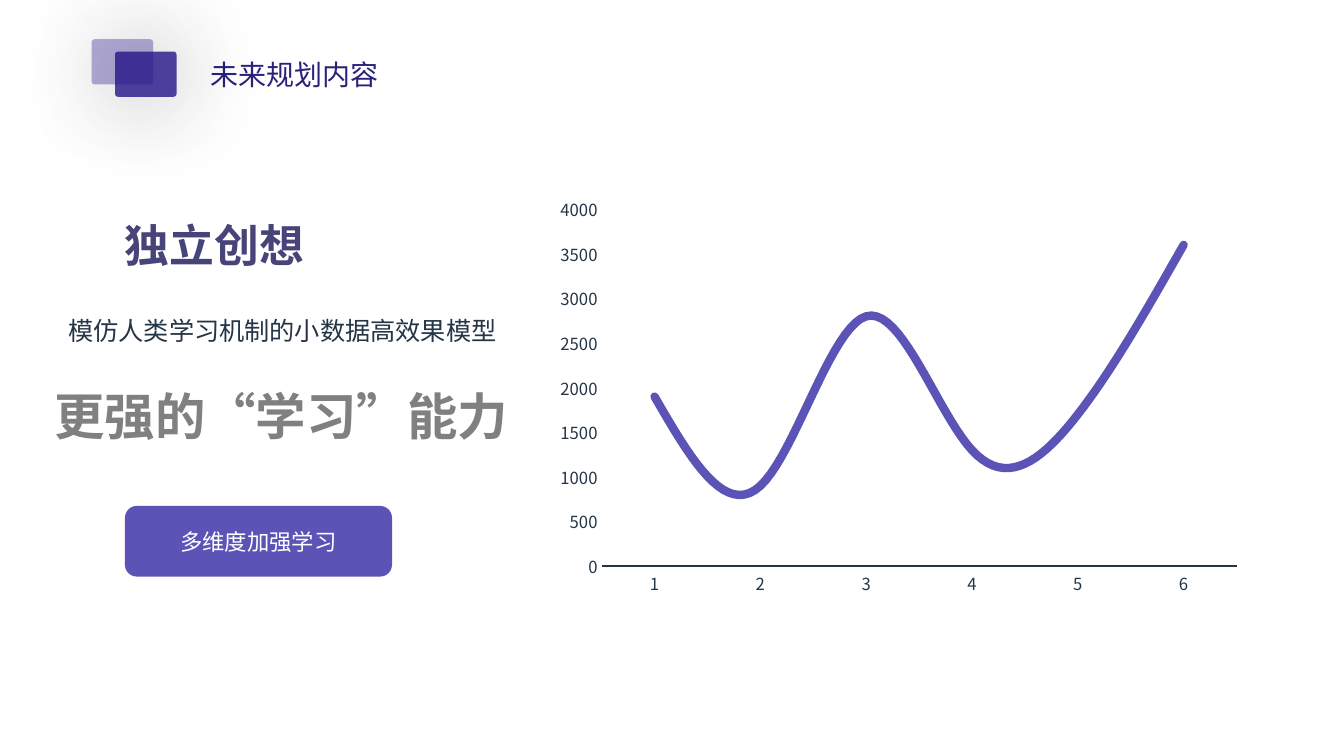
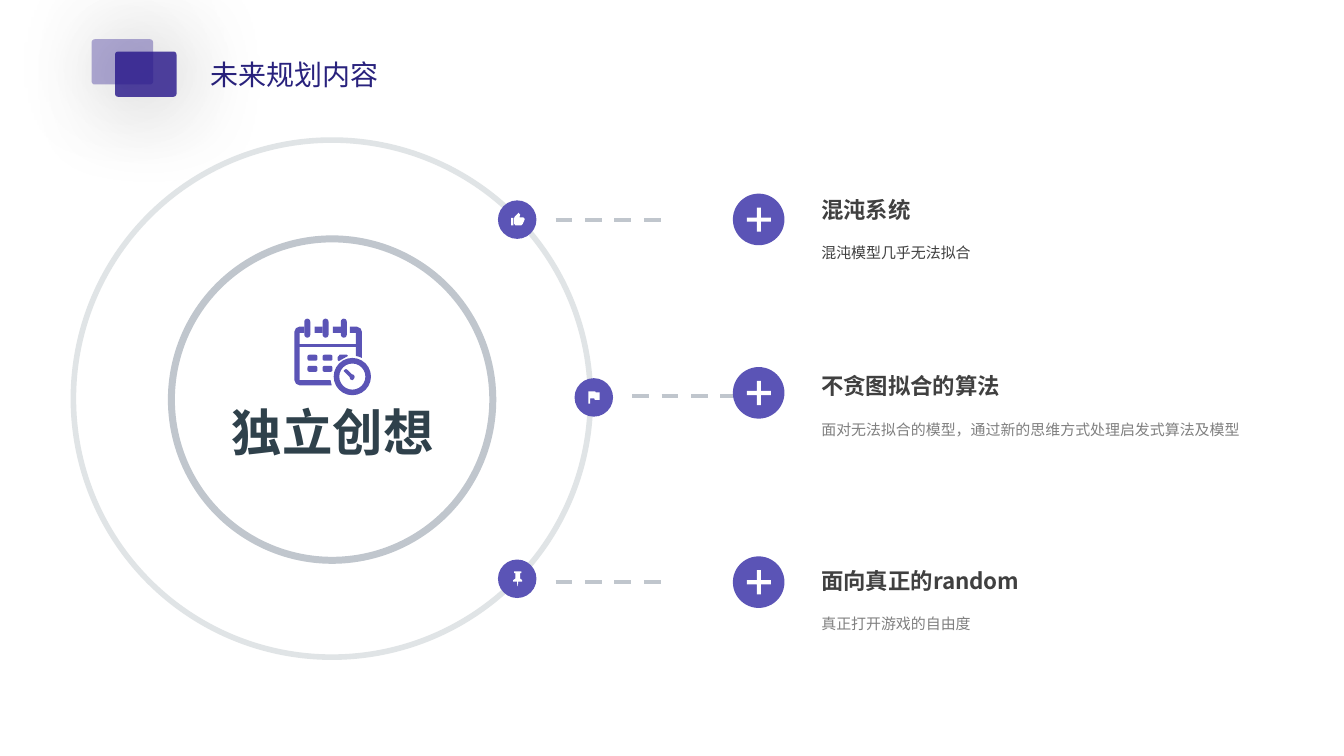
from lxml.etree import SubElement
from pptx import Presentation
from pptx.chart.data import CategoryChartData
from pptx.dml.color import RGBColor
from pptx.enum.chart import XL_CHART_TYPE as ChartType, XL_TICK_MARK as Tick
from pptx.enum.dml import MSO_LINE as Dash
from pptx.enum.shapes import MSO_CONNECTOR as Connector, MSO_SHAPE as Preset
from pptx.enum.text import MSO_ANCHOR as Anchor, MSO_AUTO_SIZE as AutoSize, PP_ALIGN as Align
from pptx.oxml.ns import qn
from pptx.util import Cm, Pt

INDIGO = RGBColor(0x26, 0x15, 0x8C)
TITLE_BLUE = RGBColor(0x29, 0x22, 0x7D)
VIOLET = RGBColor(0x5B, 0x54, 0xB6)
PLUM = RGBColor(0x47, 0x44, 0x79)
NAVY = RGBColor(0x24, 0x35, 0x47)
SLATE = RGBColor(0x2F, 0x41, 0x4B)
DARK = RGBColor(0x40, 0x40, 0x40)
GREY = RGBColor(0x80, 0x80, 0x80)
SILVER = RGBColor(0xC0, 0xC6, 0xCD)
PALE = RGBColor(0xE0, 0xE4, 0xE6)
WHITE = RGBColor(0xFF, 0xFF, 0xFF)

THUMB = [
    [(0, 32), (6, 32), (6, 13), (0, 13)],
    [(34, 15), (31, 12), (21, 12), (23, 5), (20, 2), (19, 0), (9, 10), (8, 13),
     (8, 28), (11, 32), (26, 32), (29, 29), (34, 18)],
]
FLAG = [[(18, 3), (17, 0), (0, 0), (0, 31), (4, 31), (4, 18), (15, 18), (16, 22),
         (28, 22), (28, 3)]]
PIN = [[(18, 18), (18, 4), (21, 4), (21, 0), (3, 0), (3, 4), (6, 4), (6, 18), (0, 22),
        (0, 26), (10, 26), (11, 37), (12, 37), (13, 26), (23, 26), (23, 22)]]
CALENDAR = [
    [(13, 20), (25, 20), (25, 36), (13, 36), (13, 64), (155, 64), (155, 36), (140, 36),
     (140, 20), (157, 20), (167, 25), (170, 33), (170, 99), (163, 96), (155, 94),
     (155, 71), (13, 71), (13, 155), (91, 155), (94, 168), (13, 168), (4, 164),
     (0, 155), (0, 33), (4, 24)],
    [(114, 91), (132, 91), (135, 94), (112, 107), (109, 104), (109, 97)],
    [(124, 132), (126, 129), (130, 127), (135, 130), (145, 140), (150, 142), (152, 147),
     (150, 152), (146, 155), (141, 153), (139, 147), (127, 135)],
]


def assign(target, values):
    """Set each attribute named in values on target."""
    for name, value in values.items():
        setattr(target, name, value)


def lengths(*values):
    """Turn centimetres into lengths."""
    return [Cm(value) for value in values]


class Page:
    """Holds the deck style and draws on the current slide."""

    FONT = "Noto Sans CJK SC"
    FRAME = {"word_wrap": True, "auto_size": AutoSize.NONE, "vertical_anchor": Anchor.MIDDLE}

    def __init__(self, deck):
        """Add a slide with the shared header."""
        self.slide = deck.slides.add_slide(deck.slide_layouts[5])
        self.shapes = self.slide.shapes
        self.tile(2.9, 1.3, 80)
        self.title("未来规划内容")
        self.tile(2.31, 0.99, 35)

    def title(self, text):
        """Place the slide title."""
        holder = self.shapes.title
        assign(holder, dict(zip(("left", "top", "width", "height"),
                                lengths(5.05, 1.3, 8, 1.12))))
        self.fill_text(holder, text, 20, TITLE_BLUE, align=Align.JUSTIFY)

    def tile(self, left, top, opacity):
        """Draw a translucent header tile with a wide soft shadow."""
        tile = self.shape(Preset.ROUNDED_RECTANGLE, (left, top, 1.55, 1.14), INDIGO, adjust=0.066)
        color = tile._element.spPr.find(qn("a:solidFill"))[0]
        SubElement(color, qn("a:alpha"), val=str(opacity * 1000))
        effects = tile._element.spPr.find(qn("a:effectLst"))
        shadow = SubElement(effects, qn("a:outerShdw"), blurRad=str(Pt(70)), dist=str(Pt(3)),
                            dir="2700000", algn="ctr", rotWithShape="0")
        black = SubElement(shadow, qn("a:srgbClr"), val="000000")
        SubElement(black, qn("a:alpha"), val="40000")

    def fill_text(self, box, text, size, color, bold=False, align=Align.LEFT, spacing=1.0,
                  **frame):
        """Fill a box with one styled paragraph."""
        assign(box.text_frame, {**self.FRAME, **frame})
        para = box.text_frame.paragraphs[0]
        assign(para, {"alignment": align, "line_spacing": spacing, "space_before": Pt(0)})
        span = para.add_run()
        span.text = text
        assign(span.font, {"size": Pt(size), "bold": bold, "name": self.FONT})
        span.font.color.rgb = color
        SubElement(span._r.get_or_add_rPr(), qn("a:ea"), typeface=self.FONT)

    def text(self, area, *args, **style):
        """Add a text box."""
        self.fill_text(self.shapes.add_textbox(*lengths(*area)), *args, **style)

    def shape(self, preset, area, fill, adjust=None):
        """Add a plain filled shape."""
        shape = self.shapes.add_shape(preset, *lengths(*area))
        if adjust is not None:
            shape.adjustments[0] = adjust
        return self.paint(shape, fill)

    def paint(self, shape, fill):
        """Give a shape a flat fill without line or shadow."""
        shape.shadow.inherit = False
        shape.fill.solid()
        shape.fill.fore_color.rgb = fill
        shape.line.fill.background()
        return shape

    def ring(self, left, top, size, color, width):
        """Draw an unfilled circle."""
        ring = self.shape(Preset.OVAL, (left, top, size, size), WHITE)
        ring.fill.background()
        ring.line.color.rgb = color
        ring.line.width = Pt(width)

    def outline(self, left, top, contours, fill):
        """Draw closed contours given in tenths of a millimetre."""
        builder = self.shapes.build_freeform(*contours[0][0], scale=Cm(0.01))
        for index, (start, *rest) in enumerate(contours):
            if index:
                builder.move_to(*start)
            builder.add_line_segments(rest, close=True)
        self.paint(builder.convert_to_shape(*lengths(left, top)), fill)

    def dashes(self, left, top, width):
        """Draw a horizontal dashed line."""
        line = self.shapes.add_connector(Connector.STRAIGHT, *lengths(left, top, left + width, top))
        assign(line.line, {"width": Pt(3), "dash_style": Dash.DASH})
        line.line.color.rgb = SILVER
        SubElement(line._element.spPr, qn("a:effectLst"))

    def plus(self, left, top):
        """Draw a round plus button."""
        self.shape(Preset.OVAL, (left, top, 1.3, 1.3), VIOLET)
        self.shape(Preset.CROSS, (left + 0.35, top + 0.35, 0.61, 0.61), WHITE, adjust=0.414)

    def calendar(self, left, top):
        """Draw the calendar and clock icon."""
        self.outline(left, top, CALENDAR, VIOLET)
        pins = [(0.25 + 0.46 * i, 0, 0.15, 0.48, 0.5) for i in range(3)]
        bars = [(0.51 + 0.46 * i, 0.2, 0.2, 0.16, 0) for i in range(2)]
        dots = [(0.33 + 0.38 * i, 0.91 + 0.28 * j, 0.25, 0.15, 0.3)
                for i in range(2) for j in range(2)]
        for x, y, width, height, adjust in pins + bars + dots:
            self.shape(Preset.ROUNDED_RECTANGLE, (left + x, top + y, width, height), VIOLET, adjust)
        self.shape(Preset.DONUT, (left + 0.99, top + 0.99, 0.94, 0.94), VIOLET, adjust=0.15)

    def curve(self, area, values):
        """Add a smooth single-series line chart."""
        data = CategoryChartData()
        data.categories = [str(i + 1) for i in range(len(values))]
        data.add_series("Series 1", values)
        chart = self.shapes.add_chart(ChartType.LINE, *lengths(*area), data).chart
        assign(chart, {"has_legend": False, "has_title": False})
        assign(chart.font, {"size": Pt(11.9), "name": self.FONT})
        chart.font.color.rgb = NAVY
        for axis in (chart.category_axis, chart.value_axis):
            assign(axis, {"has_major_gridlines": False, "major_tick_mark": Tick.NONE,
                          "minor_tick_mark": Tick.NONE})
        chart.category_axis.format.line.color.rgb = NAVY
        chart.category_axis.format.line.width = Pt(1)
        assign(chart.value_axis, {"minimum_scale": 0, "maximum_scale": 4000, "major_unit": 500})
        chart.value_axis.format.line.fill.background()
        plot = chart.plots[0]
        plot.vary_by_categories = False
        series = plot.series[0]
        series.smooth = True
        series.format.line.color.rgb = VIOLET
        series.format.line.width = Pt(6)
        series._element.find(".//" + qn("a:ln")).set("cap", "rnd")
        self.fix_plot(chart, {"x": 0.08, "y": 0.05, "w": 0.9, "h": 0.86})

    def fix_plot(self, chart, fractions):
        """Pin the inner plot area to fractions of the chart."""
        area = chart._chartSpace.find(".//" + qn("c:plotArea"))
        for old in area.findall(qn("c:layout")):
            area.remove(old)
        layout = SubElement(area, qn("c:layout"))
        area.insert(0, layout)
        manual = SubElement(layout, qn("c:manualLayout"))
        SubElement(manual, qn("c:layoutTarget"), val="inner")
        for name in "xy":
            SubElement(manual, qn(f"c:{name}Mode"), val="edge")
        for name, value in fractions.items():
            SubElement(manual, qn(f"c:{name}"), val=str(value))


def build_trend(deck):
    """Build the slide with the learning curve."""
    page = Page(deck)
    page.curve((13.74, 4.75, 17.78, 10.46), (1900, 900, 2800, 1300, 1700, 3600))
    page.text((1.47, 7.52, 11.58, 1.24), "模仿人类学习机制的小数据高效果模型", 18, NAVY, spacing=1.5)
    page.text((2.9, 4.93, 7.9, 1.8), "独立创想", 32, PLUM, bold=True, spacing=1.5)
    page.text((1.12, 9.58, 12.01, 1.78), "更强的“学习”能力", 36, GREY, bold=True, word_wrap=False)
    button = page.shape(Preset.ROUNDED_RECTANGLE, (3.15, 12.75, 6.73, 1.78), VIOLET)
    page.fill_text(button, "多维度加强学习", 16, WHITE, align=Align.CENTER)


def build_ideas(deck):
    """Build the slide with the rings and three ideas."""
    page = Page(deck)
    page.ring(4.32, 6.02, 8.1, SILVER, 5)
    page.ring(1.85, 3.53, 13.03, PALE, 4)
    badges = [
        (12.55, 5.05, 5.54, THUMB, 0.33, 0.31),
        (14.48, 9.53, 9.98, FLAG, 0.35, 0.33),
        (12.55, 14.1, 14.66, PIN, 0.38, 0.3),
    ]
    for left, top, dash_top, icon, x, y in badges:
        page.shape(Preset.OVAL, (left, top, 0.97, 0.97), VIOLET)
        page.outline(left + x, top + y, icon, WHITE)
        page.dashes(left + 1.45, dash_top, 2.65)
    ideas = [
        (4.88, 4.8, "混沌系统", "混沌模型几乎无法拟合", DARK),
        (9.25, 9.25, "不贪图拟合的算法", "面对无法拟合的模型，通过新的思维方式处理启发式算法及模型", GREY),
        (14.02, 14.15, "面向真正的random", "真正打开游戏的自由度", GREY),
    ]
    for plus_top, top, heading, detail, color in ideas:
        page.plus(18.47, plus_top)
        page.text((20.45, top, 7.04, 0.94), heading, 16, DARK, bold=True)
        page.text((20.45, top + 1.02, 11.79, 0.86), detail, 10.7, color, spacing=1.5)
    page.text((5.31, 9.98, 6.15, 1.8), "独立创想", 36, SLATE, bold=True, align=Align.CENTER)
    page.calendar(7.42, 8.03)


def main():
    """Build and save the deck."""
    deck = Presentation()
    assign(deck, {"slide_width": Cm(33.87), "slide_height": Cm(19.05)})
    build_trend(deck)
    build_ideas(deck)
    deck.save("out.pptx")


if __name__ == "__main__":
    main()
